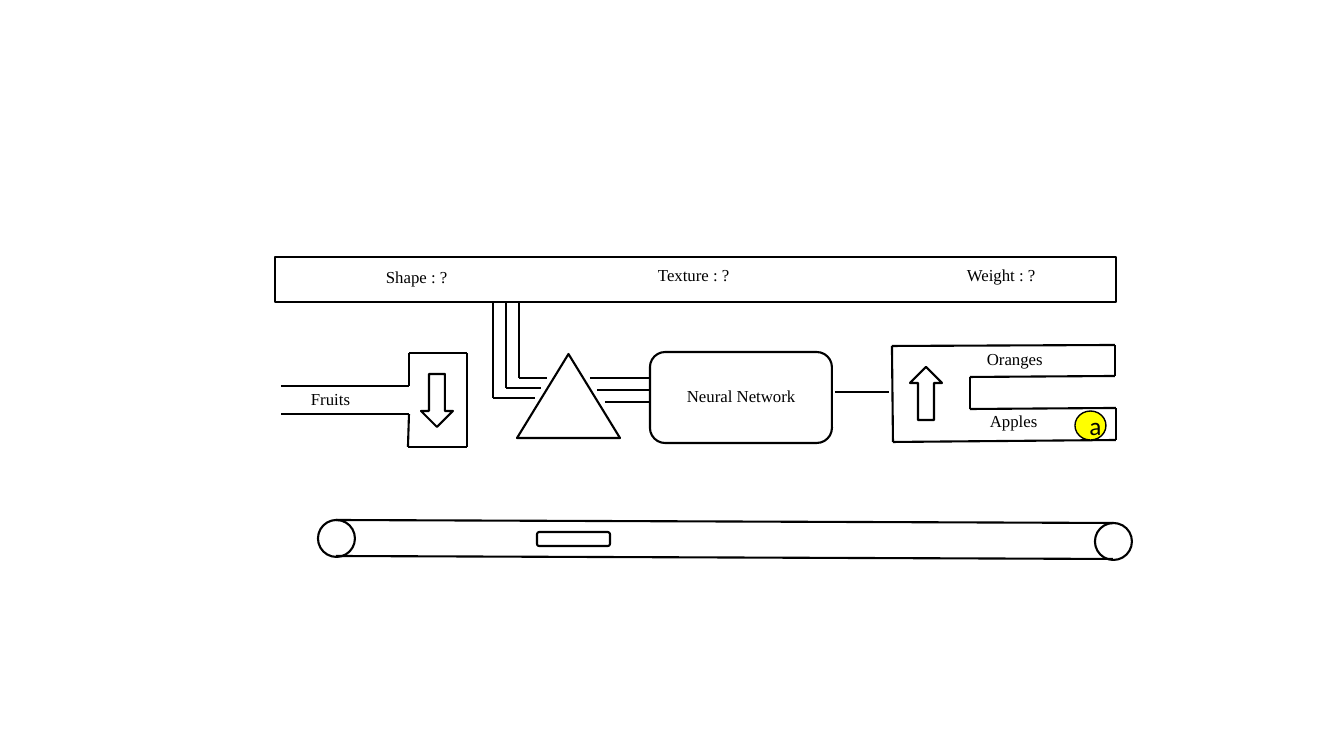
"""Draw a fruit-sorting line in which a neural network sends fruits to two outlets."""
import itertools

import lxml.etree
import pptx
import pptx.dml.color
import pptx.enum.shapes
import pptx.enum.text
import pptx.oxml.ns
import pptx.util

SCALE = 914400 / 100.8
COLORS = {"ink": "000000", "paper": "FFFFFF", "apple": "FFFF00"}
KIND = pptx.enum.shapes.MSO_SHAPE


def emu(*pixels):
    return [pptx.util.Emu(round(pixel * SCALE)) for pixel in pixels]


def color(name):
    return pptx.dml.color.RGBColor.from_string(COLORS[name])


class Sketch:
    def __init__(self, slide):
        self.slide = slide
        self.label_font = "Times New Roman"
        self.label_size = 12
        self.line_width = 1.5

    def outline(self, line, width=None):
        line.color.rgb = color("ink")
        line.width = pptx.util.Pt(width or self.line_width)

    def set_text(self, frame, text, font, size):
        para = frame.paragraphs[0]
        para.text = text
        para.font.name = font
        para.font.size = pptx.util.Pt(size)
        para.font.color.rgb = color("ink")
        return para

    def shape(self, kind, left, top, width, height, fill="paper", line_width=None):
        shape = self.slide.shapes.add_shape(kind, *emu(left, top, width, height))
        shape.shadow.inherit = False
        shape.fill.solid()
        shape.fill.fore_color.rgb = color(fill)
        self.outline(shape.line, line_width)
        return shape

    def label(self, text, left, top, width):
        box = self.slide.shapes.add_textbox(*emu(left, top, width, 30))
        box.text_frame.word_wrap = True
        self.set_text(box.text_frame, text, self.label_font, self.label_size)

    def lines(self, *points):
        for start, end in itertools.pairwise(points):
            line = self.slide.shapes.add_connector(
                pptx.enum.shapes.MSO_CONNECTOR.STRAIGHT, *emu(*start, *end))
            self.outline(line.line)
            properties = line.element.spPr
            lxml.etree.SubElement(properties, pptx.oxml.ns.qn("a:effectLst"))


deck = pptx.Presentation()
deck.slide_width, deck.slide_height = emu(1344, 756)
sketch = Sketch(deck.slides.add_slide(deck.slide_layouts[6]))

sketch.shape(KIND.RECTANGLE, 275, 257, 841, 45)
sketch.lines((281, 386), (409, 386), (409, 353), (467, 353),
             (467, 447), (408, 447), (409, 414), (281, 414))
sketch.shape(KIND.ISOSCELES_TRIANGLE, 517, 354, 103, 84)
sketch.shape(KIND.FLOWCHART_ALTERNATE_PROCESS, 650, 352, 182, 91)
sketch.lines((892, 346), (893, 442), (1116, 440), (1116, 408), (970, 409),
             (970, 377), (1115, 376), (1115, 345), (892, 346))

sketch.shape(KIND.DOWN_ARROW, 421, 374, 32, 53)
outlet_arrow = sketch.shape(KIND.DOWN_ARROW, 910, 367, 32, 53)
outlet_arrow.rotation = 180

for text, left, top, width in (
        ("Shape : ?", 376, 262, 98),
        ("Texture : ?", 648, 260, 98),
        ("Weight : ?", 957, 260, 98),
        ("Neural Network", 677, 381, 137),
        ("Oranges", 977, 344, 137),
        ("Apples", 980, 406, 137),
        ("Fruits", 301, 384, 83)):
    sketch.label(text, left, top, width)

for wire in range(3):
    left, bend = 519 - 13 * wire, 378 + 10 * wire
    sketch.lines((left, 302), (left, bend), (547 - 6 * wire, bend))
    level = 378 + 12 * wire
    sketch.lines((590 + 15 * wire // 2, level), (650, level))
sketch.lines((835, 392), (889, 392))

for left, top in ((318, 520), (1095, 523)):
    sketch.shape(KIND.OVAL, left, top, 37, 37)
for belt_top in (520, 556):
    sketch.lines((336, belt_top), (1113, belt_top + 3))
sketch.shape(KIND.ROUNDED_RECTANGLE, 537, 532, 73, 14)

apple = sketch.shape(KIND.OVAL, 1075, 411, 31, 29, "apple", 1)
apple.text_frame.vertical_anchor = pptx.enum.text.MSO_ANCHOR.MIDDLE
letter = sketch.set_text(apple.text_frame, "a", "Calibri", 18)
letter.alignment = pptx.enum.text.PP_ALIGN.CENTER

deck.save("out.pptx")
